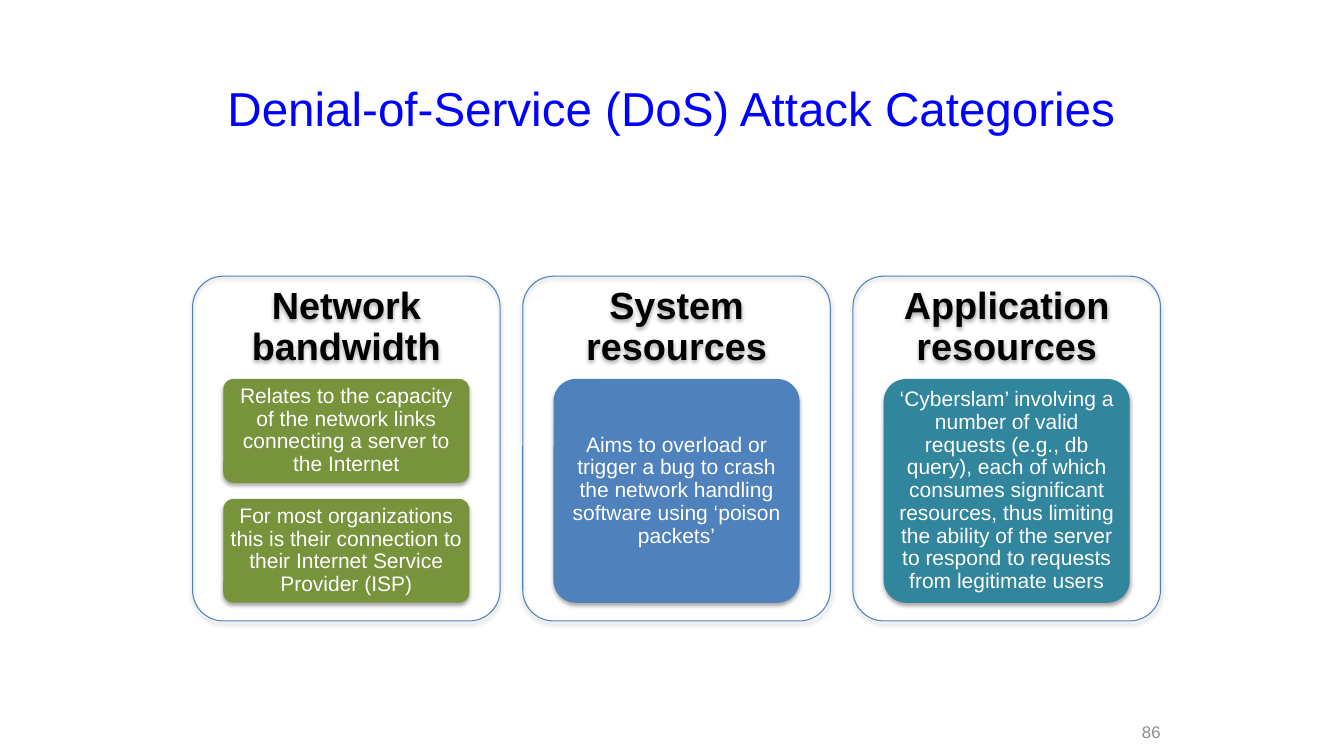
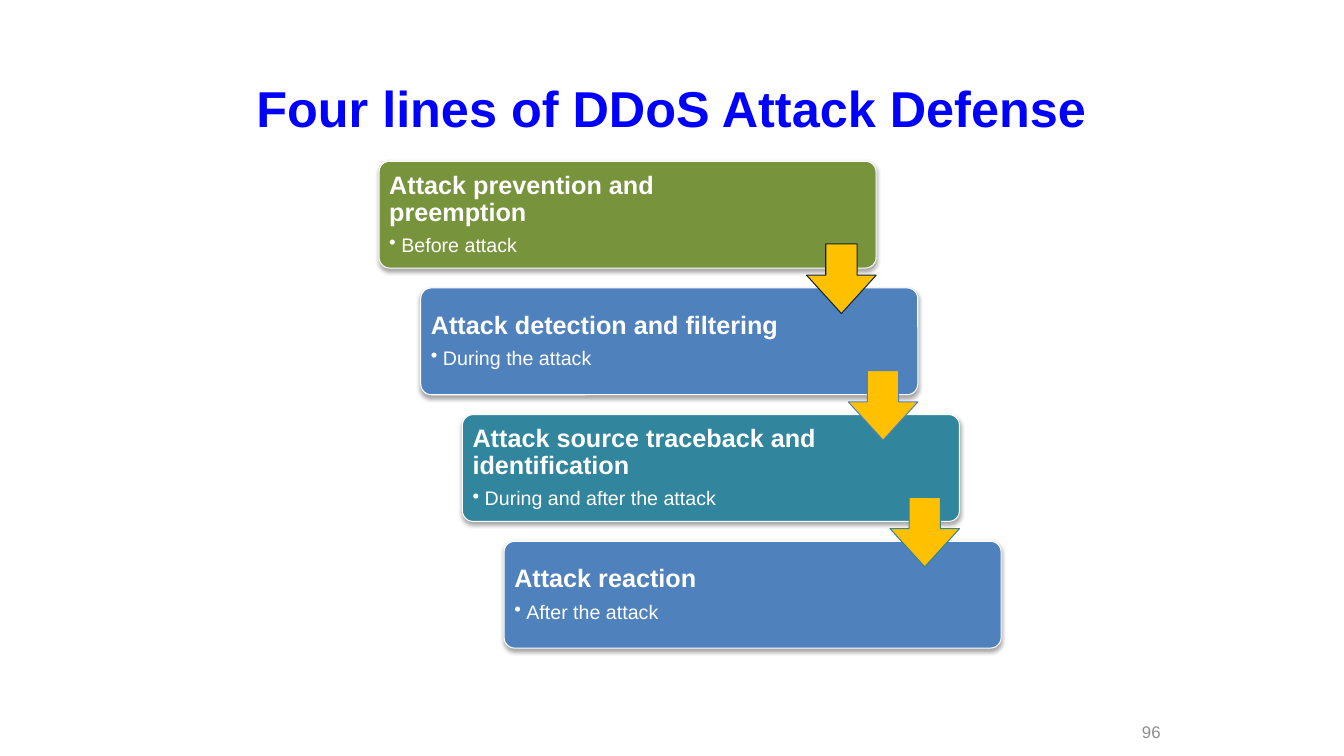
from lxml import etree
from pptx import Presentation
from pptx.dml.color import RGBColor
from pptx.enum import shapes, text
from pptx.oxml import ns
from pptx.util import Inches, Pt

FONT = "Arial"
GREEN, BLUE, TEAL, GOLD = "77933C", "4F81BD", "31859C", "FFC000"
WHITE, BLACK, TITLE_BLUE, GREY = "FFFFFF", "000000", "0000FF", "8C8C8C"

CATEGORIES = [
    ("Network bandwidth", GREEN, [
        "Relates to the capacity of the network links connecting a server to the Internet",
        "For most organizations this is their connection to their Internet Service Provider (ISP)",
    ]),
    ("System resources", BLUE, [
        "Aims to overload or trigger a bug to crash the network handling software "
        "using ‘poison packets’",
    ]),
    ("Application resources", TEAL, [
        "‘Cyberslam’ involving a number of valid requests (e.g., db query), each of which "
        "consumes significant resources, thus limiting the ability of the server to respond "
        "to requests from legitimate users",
    ]),
]
DEFENSES = [
    ("Attack prevention and preemption", "Before attack", GREEN),
    ("Attack detection and filtering", "During the attack", BLUE),
    ("Attack source traceback and identification", "During and after the attack", TEAL),
    ("Attack reaction", "After the attack", BLUE),
]
ARROW_LINES = ["0F243E", BLUE, TEAL]


def color(value):
    return RGBColor.from_string(value)


def add_xml(parent, tag, **attributes):
    return etree.SubElement(parent, ns.qn(tag), attributes)


def write(box, content, size, ink=WHITE, bold=False, align="CENTER", spacing=0.9,
          margins=None, bullet=False, after=0):
    frame = box.text_frame
    if frame.text:
        para = frame.add_paragraph()
    else:
        para = frame.paragraphs[0]
        frame.word_wrap = True
        frame.vertical_anchor = text.MSO_ANCHOR.MIDDLE
    if margins:
        (frame.margin_left, frame.margin_top,
         frame.margin_right, frame.margin_bottom) = map(Inches, margins)
    if bullet:
        properties = para._p.get_or_add_pPr()
        properties.set("marL", str(Inches(0.12)))
        properties.set("indent", str(Inches(-0.12)))
        add_xml(properties, "a:buChar", char="•")
    para.alignment = getattr(text.PP_ALIGN, align)
    para.line_spacing = spacing
    para.space_after = Pt(after)
    span = para.add_run()
    span.text = content
    span.font.name, span.font.size, span.font.bold = FONT, Pt(size), bold
    span.font.color.rgb = color(ink)


def add_label(page, place, content, **style):
    box = page.shapes.add_textbox(*map(Inches, place))
    write(box, content, spacing=1, **style)


def add_block(page, kind, place, adjustments, fill=None, line=None, shadow=True):
    box = page.shapes.add_shape(kind, *map(Inches, place))
    for index, value in enumerate(adjustments):
        box.adjustments[index] = value
    if fill:
        box.fill.solid()
        box.fill.fore_color.rgb = color(fill)
    else:
        box.fill.background()
    if line:
        box.line.color.rgb = color(line)
        box.line.width = Pt(0.75)
    else:
        box.line.fill.background()
    box.shadow.inherit = False
    if shadow:
        effects = box._element.spPr.find(ns.qn("a:effectLst"))
        outer = add_xml(effects, "a:outerShdw", blurRad=str(Pt(3.1)), dist=str(Pt(1.8)),
                        dir="5400000", rotWithShape="0")
        tint = add_xml(outer, "a:srgbClr", val=BLACK)
        add_xml(tint, "a:alpha", val="35000")
    return box


def add_rounded(page, place, **style):
    return add_block(page, shapes.MSO_SHAPE.ROUNDED_RECTANGLE, place, [0.1], **style)


def add_page(deck, title, number, size, bold=False):
    page = deck.slides.add_slide(deck.slide_layouts[6])
    add_label(page, (0.45, 0.65, 12.42, 0.84), title, size=size, ink=TITLE_BLUE, bold=bold,
              margins=(0.1, 0.1, 0.1, 0.1))
    add_label(page, (10.93, 7.18, 0.68, 0.15), number, size=12, ink=GREY, align="RIGHT")
    return page


def build_categories(deck):
    page = add_page(deck, "Denial-of-Service (DoS) Attack Categories", "86", 34)
    left, top, width, height, pitch = 1.91, 2.74, 3.05, 3.42, 6.55 / 2
    card_width, card_top, cards_height, gap = 2.44, 3.76, 2.22, 0.16
    for column, (heading, fill, cards) in enumerate(CATEGORIES):
        x = left + column * pitch
        panel = add_rounded(page, (x, top, width, height), line=BLUE)
        write(panel, heading, 27, ink=BLACK, bold=True, margins=(0.02, 0.02, 0.02, 2.42))
        card_height = (cards_height - gap * (len(cards) - 1)) / len(cards)
        for row, content in enumerate(cards):
            y = card_top + row * (card_height + gap)
            card = add_rounded(page, (x + (width - card_width) / 2, y, card_width, card_height),
                               fill=fill)
            write(card, content, 15, margins=(0.04, 0.03, 0.04, 0.03))


def build_defenses(deck):
    page = add_page(deck, "Four lines of DDoS Attack Defense", "96", 36, bold=True)
    left, top, width, height = 3.76, 1.6, 4.93, 1.06
    step_x, step_y, arrow = 1.24 / 3, 3.77 / 3, 0.69
    corners = [(left + i * step_x, top + i * step_y) for i in range(len(DEFENSES))]
    for (x, y), (heading, timing, fill) in zip(corners, DEFENSES):
        step = add_rounded(page, (x, y, width, height), fill=fill, line=WHITE)
        write(step, heading, 18, bold=True, align="LEFT", after=6.3,
              margins=(0.07, 0.07, 1.17, 0.07))
        write(step, timing, 14, align="LEFT", bullet=True)
    for (x, y), line in zip(corners, ARROW_LINES):
        add_block(page, shapes.MSO_SHAPE.DOWN_ARROW,
                  (x + width - arrow, y + 0.82, arrow, arrow), [0.45, 0.55],
                  fill=GOLD, line=line, shadow=False)


def main():
    deck = Presentation()
    deck.slide_width, deck.slide_height = Inches(13.33), Inches(7.5)
    build_categories(deck)
    build_defenses(deck)
    deck.save("out.pptx")


if __name__ == "__main__":
    main()
